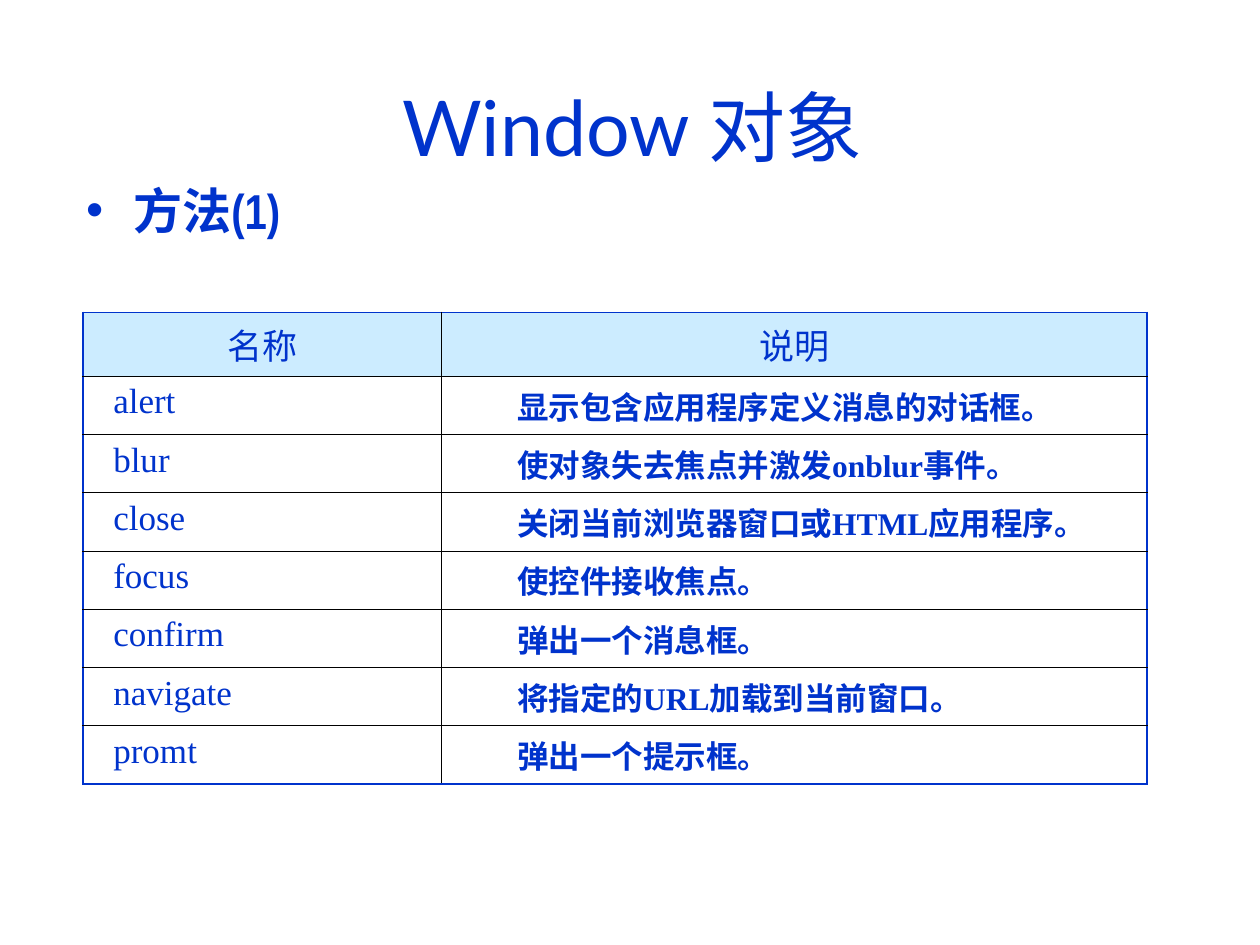
from lxml.etree import SubElement
from pptx import Presentation
from pptx.dml.color import RGBColor as Color
from pptx.enum.text import MSO_ANCHOR as Anchor, MSO_AUTO_SIZE as AutoSize, PP_ALIGN as Align
from pptx.oxml.ns import qn
from pptx.util import Pt

COLORS = {"text": "0033CC", "header": "CCECFF", "grid": "000000"}
OUTER, INNER = ("text", 1.08), ("grid", 0.45)
HEADER = ("名称", "说明")
METHODS = [
    ("alert", "显示包含应用程序定义消息的对话框。"),
    ("blur", "使对象失去焦点并激发onblur事件。"),
    ("close", "关闭当前浏览器窗口或HTML应用程序。"),
    ("focus", "使控件接收焦点。"),
    ("confirm", "弹出一个消息框。"),
    ("navigate", "将指定的URL加载到当前窗口。"),
    ("promt", "弹出一个提示框。"),
]


class SlideBuilder:
    def __init__(self, presentation):
        self.slide = presentation.slides.add_slide(presentation.slide_layouts[1])

    def add_text(self, paragraph, text, font, size, bold=False):
        run = paragraph.add_run()
        run.text = text
        run.font.name = font
        run.font.size = Pt(size)
        run.font.bold = bold
        run.font.color.rgb = Color.from_string(COLORS["text"])

    def place(self, shape, left, top, width, height, anchor):
        shape.left, shape.top = Pt(left), Pt(top)
        shape.width, shape.height = Pt(width), Pt(height)
        frame = shape.text_frame
        frame.auto_size = AutoSize.NONE
        frame.vertical_anchor = anchor
        paragraph = frame.paragraphs[0]
        paragraph.alignment = Align.CENTER
        paragraph.space_before = Pt(0)
        return paragraph

    def title(self, text):
        paragraph = self.place(self.slide.shapes.title, 25.2, 26.6, 672.5, 90, Anchor.MIDDLE)
        self.add_text(paragraph, text, "Lato", 44)

    def bullet(self, text):
        body = self.slide.placeholders[1]
        paragraph = self.place(body, 36.7, 105.8, 136, 34.6, Anchor.TOP)
        body.text_frame.word_wrap = False
        paragraph.line_spacing = 0.8
        properties = paragraph._p.get_or_add_pPr()
        properties.set("marL", str(Pt(27)))
        properties.set("indent", str(Pt(-27)))
        color = SubElement(properties, qn("a:buClr"))
        SubElement(color, qn("a:srgbClr"), val=COLORS["text"])
        SubElement(properties, qn("a:buFont"), typeface="Arial")
        SubElement(properties, qn("a:buChar"), char="•")
        self.add_text(paragraph, text, "Arial Narrow", 28, True)

    def borders(self, cell, sides):
        properties = cell._tc.get_or_add_tcPr()
        for side, (color, width) in sides.items():
            line = SubElement(properties, qn(f"a:ln{side}"), w=str(Pt(width)))
            fill = SubElement(line, qn("a:solidFill"))
            SubElement(fill, qn("a:srgbClr"), val=COLORS[color])

    def table(self, rows, left, top, widths, header_height, row_height):
        last_row, last_column = len(rows) - 1, len(widths) - 1
        height = header_height + row_height * last_row
        table = self.slide.shapes.add_table(
            len(rows), len(widths), Pt(left), Pt(top), Pt(sum(widths)), Pt(height)
        ).table
        table.first_row = table.horz_banding = False
        for column, width in zip(table.columns, widths):
            column.width = Pt(width)
        for i, texts in enumerate(rows):
            table.rows[i].height = Pt(row_height if i else header_height)
            for j, text in enumerate(texts):
                cell = table.cell(i, j)
                self.borders(cell, {
                    "L": INNER if j else OUTER,
                    "R": OUTER if j == last_column else INNER,
                    "T": INNER if i else OUTER,
                    "B": OUTER if i == last_row else INNER,
                })
                self.fill_cell(cell, text, is_header=i == 0, is_description=j > 0)

    def fill_cell(self, cell, text, is_header, is_description):
        paragraph = cell.text_frame.paragraphs[0]
        if is_header:
            cell.fill.solid()
            cell.fill.fore_color.rgb = Color.from_string(COLORS["header"])
            cell.vertical_anchor = Anchor.MIDDLE
            paragraph.alignment = Align.CENTER
        else:
            cell.fill.background()
            indent = 36 if is_description else 10
            paragraph._p.get_or_add_pPr().set("marL", str(Pt(indent)))
        bold = is_description and not is_header
        self.add_text(paragraph, text, "Times New Roman", 18 if bold else 20, bold)


def main():
    presentation = Presentation()
    presentation.slide_width, presentation.slide_height = Pt(720), Pt(540)
    builder = SlideBuilder(presentation)
    builder.title("Window 对象")
    builder.bullet("方法(1)")
    builder.table([HEADER, *METHODS], 47.5, 178.5, (204.8, 403.2), 36.5, 33.3)
    presentation.save("out.pptx")


if __name__ == "__main__":
    main()
